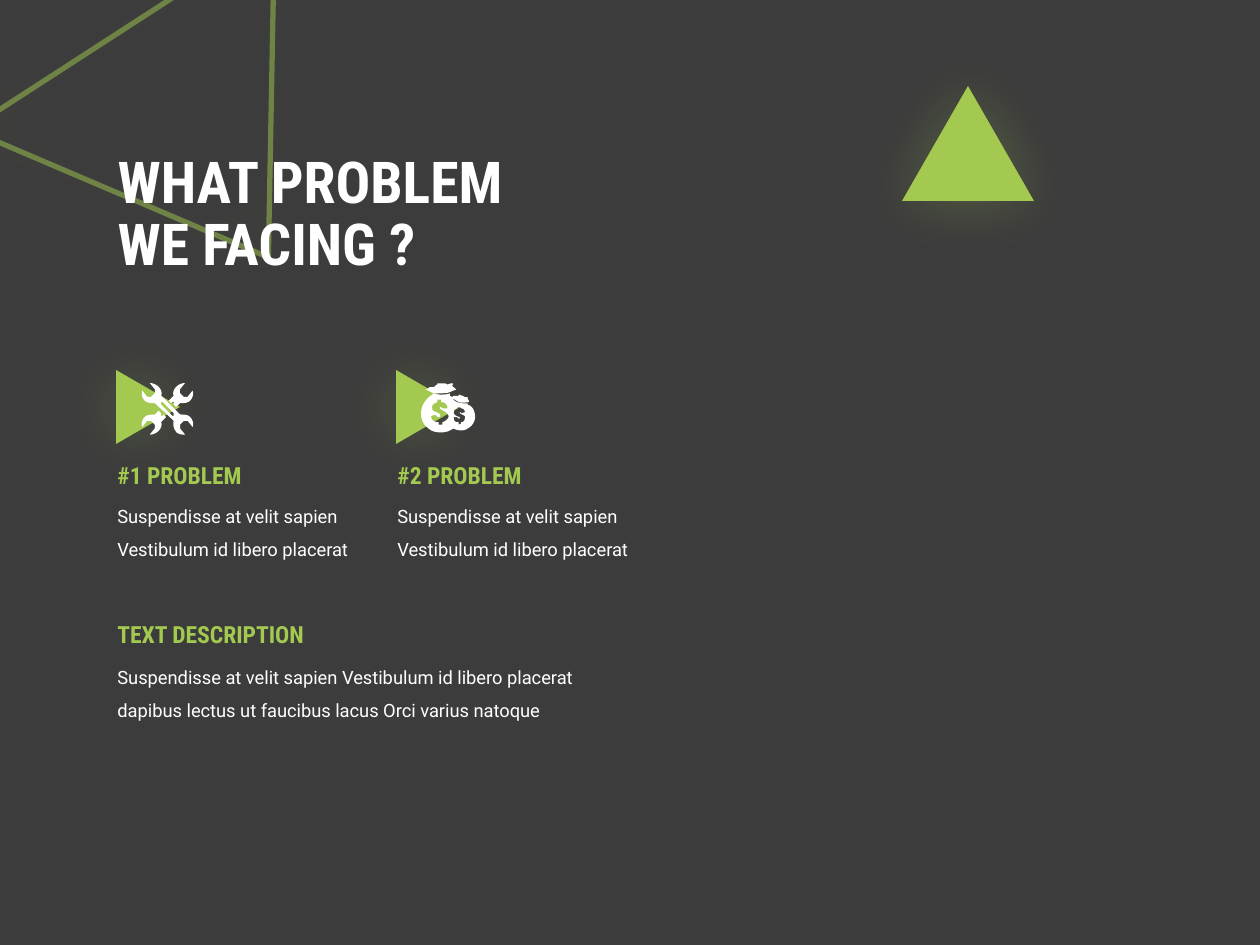
from dataclasses import dataclass

from lxml import etree
from pptx import Presentation
from pptx import util as u
from pptx.dml.color import RGBColor
from pptx.enum import shapes, text
from pptx.oxml import parse_xml
from pptx.oxml.ns import nsdecls, qn

PX = 914400 / 126
FINE = 100  # steps per icon unit; one icon unit is 0.01 inch


@dataclass(frozen=True)
class Theme:
    back: str = "3C3C3C"
    lime: str = "A3C951"
    white: str = "FFFFFF"
    title: float = 33
    head: float = 13.5
    body: float = 10.5
    bold: str = "Roboto Condensed"
    plain: str = "Roboto"


def px(*vals):
    return [u.Emu(round(v * PX)) for v in vals]


def trace(marks, steps=6):
    """Turn points and six-number Bezier curves into fine points."""
    pts = [marks[0]]
    for mark in marks[1:]:
        if len(mark) == 2:
            pts.append(mark)
            continue
        nodes = [pts[-1], mark[:2], mark[2:4], mark[4:]]
        for i in range(1, steps + 1):
            t = i / steps
            wts = ((1 - t) ** 3, 3 * t * (1 - t) ** 2, 3 * t * t * (1 - t), t ** 3)
            pts.append(tuple(sum(w * n[k] for w, n in zip(wts, nodes)) for k in (0, 1)))
    return [(round(x * FINE), round(y * FINE)) for x, y in pts]


class Deck:
    def __init__(self, theme):
        self.theme = theme
        self.prs = Presentation()
        self.prs.slide_width, self.prs.slide_height = px(1260, 945)
        self.slide = self.prs.slides.add_slide(self.prs.slide_layouts[5])
        fill = self.slide.background.fill
        fill.solid()
        fill.fore_color.rgb = RGBColor.from_string(theme.back)

    def style(self, para, size, face, color, bold=False, gap=1.0):
        para.alignment = text.PP_ALIGN.LEFT
        para.line_spacing = gap
        form = {"size": u.Pt(size), "name": face, "bold": bold}
        for run in para.runs:
            for key, val in form.items():
                setattr(run.font, key, val)
            run.font.color.rgb = RGBColor.from_string(color)

    def title(self, lines, box):
        shape = self.slide.shapes.title
        for key, val in zip(("left", "top", "width", "height"), px(*box)):
            setattr(shape, key, val)
        frame = shape.text_frame
        frame.auto_size = text.MSO_AUTO_SIZE.NONE
        frame.vertical_anchor = text.MSO_ANCHOR.MIDDLE
        para = frame.paragraphs[0]
        for i, line in enumerate(lines):
            if i:
                para.add_line_break()
            para.add_run().text = line
        th = self.theme
        self.style(para, th.title, th.bold, th.white, True, 0.9)
        return shape

    def label(self, words, box, *form):
        frame = self.slide.shapes.add_textbox(*px(*box)).text_frame
        frame.word_wrap = True
        frame.auto_size = text.MSO_AUTO_SIZE.SHAPE_TO_FIT_TEXT
        para = frame.paragraphs[0]
        para.add_run().text = words
        self.style(para, *form)

    def head(self, words, box):
        self.label(words, box, self.theme.head, self.theme.bold, self.theme.lime, True)

    def body(self, words, box):
        th = self.theme
        self.label(words, box, th.body, th.plain, th.white, False, 1.5)

    def glow(self, shape):
        shape.shadow.inherit = False
        shape.element.spPr.find(qn("a:effectLst")).append(parse_xml(
            f'<a:outerShdw {nsdecls("a")} blurRad="{u.Pt(35)}" dist="0" dir="0" '
            f'algn="ctr" rotWithShape="0"><a:srgbClr val="{self.theme.lime}">'
            '<a:alpha val="25000"/></a:srgbClr></a:outerShdw>'))

    def wedge(self, box, turn=0, solid=True):
        """Add a glowing triangle, either filled or as a half-clear outline."""
        shape = self.slide.shapes.add_shape(
            shapes.MSO_SHAPE.ISOSCELES_TRIANGLE, *px(*box))
        shape.rotation = turn
        lime = RGBColor.from_string(self.theme.lime)
        if solid:
            shape.fill.solid()
            shape.fill.fore_color.rgb = lime
            shape.line.fill.background()
        else:
            shape.fill.background()
            shape.line.width = u.Pt(3)
            shape.line.color.rgb = lime
            tint = shape.element.xpath("./p:spPr/a:ln//a:srgbClr")[0]
            etree.SubElement(tint, qn("a:alpha")).set("val", "50000")
        self.glow(shape)
        return shape

    def icon(self, parts, left, top):
        """Group white outlines; each part is a list of contours."""
        group = self.slide.shapes.add_group_shape()
        for part in parts:
            first, *rest = [trace(loop) for loop in part]
            pen = group.shapes.build_freeform(*first[0], scale=9144 / FINE)
            pen.add_line_segments(first[1:], close=True)
            for loop in rest:
                pen.move_to(*loop[0])
                pen.add_line_segments(loop[1:], close=True)
            shape = pen.convert_to_shape(*px(left, top))
            shape.fill.solid()
            shape.fill.fore_color.rgb = RGBColor.from_string(self.theme.white)
            shape.line.fill.background()
            shape.shadow.inherit = False


JAW = [(24, 16), (25, 15), (26, 15), (26, 17), (28, 19), (31, 16),
       (34, 16, 37, 16, 39, 14), (41, 12, 42, 9, 41, 6), (37, 11), (34, 11), (31, 8),
       (31, 5), (35, 0), (33, 0, 30, 1, 28, 3), (26, 5, 25, 8, 26, 10), (22, 14)]
FLIP = [tuple((41 if i % 2 else 42) - v for i, v in enumerate(mark)) for mark in JAW]
SPAN = [(39, 27), (37, 25, 34, 25, 31, 25), (16, 10), (17, 8, 16, 5, 14, 3),
        (12, 1, 9, 0, 7, 0), (11, 5), (11, 8), (8, 11), (5, 11), (1, 6),
        (0, 9, 1, 12, 3, 14), (5, 16, 8, 16, 11, 16), (26, 30),
        (25, 33, 26, 36, 28, 39), (30, 41, 33, 41, 35, 41), (31, 36), (31, 33),
        (34, 30), (37, 30), (41, 35), (42, 32, 41, 29, 39, 27)]
SLOT = [(26, 26), (25, 26), (16, 17), (16, 15), (17, 15), (26, 24)]
TOOLS = [[JAW], [FLIP], [SPAN, SLOT]]

BAGS = [(37, 18), (37, 17), (34, 17), (29, 17, 26, 15, 25, 13), (30, 16),
        (33, 17, 38, 16, 38, 16), (38, 15), (37, 13), (37, 12), (35, 12), (33, 11),
        (30, 10), (30, 11), (28, 11), (26, 11), (25, 12), (23, 11), (23, 9),
        (21, 10, 19, 10, 16, 10), (14, 10, 11, 10, 10, 9), (9, 10),
        (4, 13, 0, 19, 0, 25), (0, 30, 2, 34, 6, 37), (10, 41, 20, 41, 24, 38),
        (26, 37), (29, 39, 35, 39, 37, 37), (41, 35, 43, 31, 43, 28),
        (43, 23, 41, 19, 37, 18)]
BIG = [(17, 32), (17, 34), (14, 34), (14, 32), (10, 32, 8, 30, 8, 27), (12, 26),
       (12, 28, 14, 28, 15, 28), (15, 27), (16, 26, 15, 25, 12, 24),
       (10, 23, 9, 23, 9, 21), (8, 19, 10, 17, 13, 16), (13, 14), (16, 14), (16, 16),
       (19, 16, 21, 18, 21, 20), (21, 21), (17, 21), (17, 21, 17, 20, 15, 20),
       (15, 21), (15, 21, 16, 22, 18, 23), (20, 24, 21, 25, 22, 27),
       (22, 29, 20, 31, 17, 32)]
SMALL = [(32, 32), (32, 33), (30, 34), (30, 32), (27, 32, 26, 31, 26, 28), (28, 28),
         (29, 28), (29, 29, 30, 29, 31, 29), (31, 28, 31, 28, 28, 27),
         (27, 26, 26, 26, 26, 24), (26, 23, 27, 21, 29, 21), (29, 20), (31, 20),
         (32, 21), (34, 21, 35, 23, 35, 24), (32, 25), (32, 25, 32, 24, 31, 24),
         (31, 25, 31, 25, 33, 26), (35, 27, 35, 27, 35, 28), (35, 30, 34, 32, 32, 32)]
KNOT = [(10, 9), (15, 9), (18, 9, 21, 9, 23, 8), (28, 6), (27, 5),
        (26, 4, 25, 4, 25, 3), (25, 2, 26, 1, 25, 1), (24, 1), (21, 2), (19, 1),
        (13, 1), (13, 2), (12, 2, 11, 4, 10, 4), (8, 4), (7, 4), (6, 5), (4, 6)]
MONEY = [[BAGS, BIG, SMALL], [KNOT]]


def main():
    deck = Deck(Theme())
    title = deck.title(["WHAT PROBLEM", "WE FACING ?"], (105, 116, 532, 199))
    frame = deck.wedge((13, 9, 364, 270), 147.1, solid=False)
    title.element.addprevious(frame.element)  # outline goes behind the title
    deck.wedge((902, 86, 132, 115))

    lorem = "Suspendisse at velit sapien Vestibulum id libero placerat"
    for i, (parts, left, top) in enumerate([(TOOLS, 141, 383), (MONEY, 421, 382)]):
        step = 280 * i
        deck.wedge((111 + step, 375, 74, 64), 90)
        deck.body(lorem, (105 + step, 488, 265, 76))
        deck.head(f"#{i + 1} PROBLEM", (105 + step, 455, 209, 42))
        deck.icon(parts, left, top)

    deck.body(lorem + " dapibus lectus ut faucibus lacus Orci varius natoque",
              (105, 649, 485, 76))
    deck.head("TEXT DESCRIPTION", (105, 614, 232, 42))
    deck.prs.save("out.pptx")


if __name__ == "__main__":
    main()
